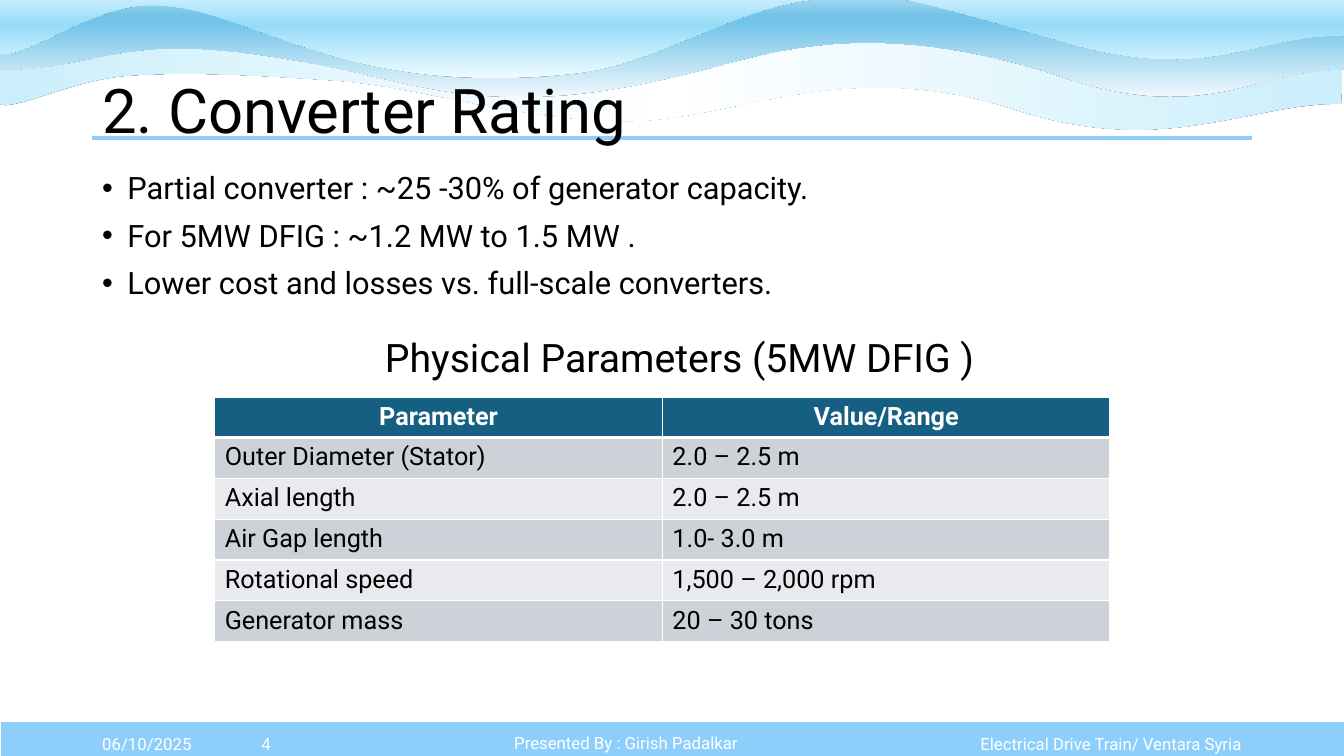
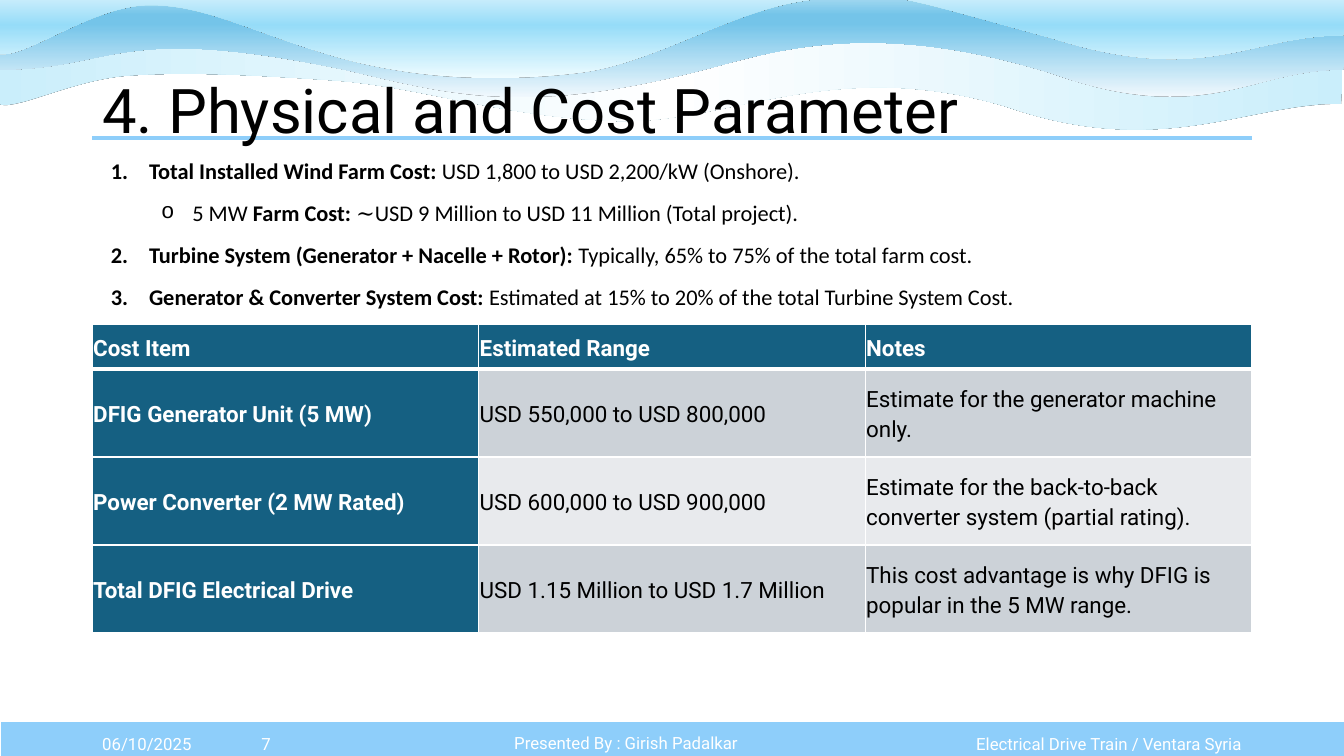
from pptx import Presentation
from pptx.dml.color import RGBColor
from pptx.enum.shapes import MSO_CONNECTOR, MSO_SHAPE
from pptx.enum.text import MSO_ANCHOR, PP_ALIGN
from pptx.oxml import parse_xml
from pptx.oxml.ns import nsdecls, qn
from pptx.util import Inches, Pt

LEFT, CENTER, RIGHT = PP_ALIGN.LEFT, PP_ALIGN.CENTER, PP_ALIGN.RIGHT
TOP, MIDDLE = MSO_ANCHOR.TOP, MSO_ANCHOR.MIDDLE
STRAIGHT, RECTANGLE = MSO_CONNECTOR.STRAIGHT, MSO_SHAPE.RECTANGLE
WHITE = RGBColor(0xFF, 0xFF, 0xFF)
BLACK = RGBColor(0x00, 0x00, 0x00)
SKY = RGBColor(0x8E, 0xCE, 0xFA)
TEAL = RGBColor(0x15, 0x60, 0x82)
BANDS = [RGBColor(0xCC, 0xD2, 0xD8), RGBColor(0xE8, 0xEA, 0xED)]
ROBOTO, CALIBRI, CAMBRIA = "Roboto", "Calibri", "Cambria"
SLIDE_W, SLIDE_H, BODY_W = 13.33, 7.5, 11.5
SIDE = (SLIDE_W - BODY_W) / 2

WAVES = [
    {"box": (-0.04, 0.3, 13.36, 0.98), "angle": 0,
     "stops": [(0, "CAEEFB"), (50, "FFFFFF"), (100, "CAEEFB")],
     "start": (13.3, 1.03),
     "curves": [(12.37, 1.02, 11.52, 1.59, 9.99, 1.06), (8.27, 0.54, 7.21, 1.24, 6.1, 1.2),
                (4.99, 1.16, 4.21, 0.87, 3.35, 0.8), (2.49, 0.74, 1.83, 0.71, 1.27, 0.75),
                (0.71, 0.79, 0.14, 1.11, -0.02, 1.03), (-0.02, 0.8, -0.04, 0.53, -0.04, 0.3)],
     "top": [(3.13, 0.31), (6.52, 0.34), (9.41, 0.32), (13.32, 0.34)],
     "end": (13.32, 0.55, 13.32, 0.8, 13.3, 1.03)},
    {"box": (0, -0.02, 13.33, 0.98), "angle": 90,
     "stops": [(0, "F0F8FD"), (74, "74C4E9"), (83, "74C4E9"), (100, "A2D8F0")],
     "start": (13.32, 0.69),
     "curves": [(12.39, 0.69, 11.96, 1.27, 10.44, 0.73), (8.71, 0.19, 7.73, 0.49, 7.06, 0.67),
                (5.28, 1.14, 4.59, 0.97, 3.46, 0.7), (1.13, 0.21, 1.15, 0.69, 0, 0.69),
                (0, 0.46, 0.01, 0.23, 0.01, -0.01)],
     "top": [(3.13, 0), (6.54, -0.02), (9.46, -0.01), (13.33, 0.03)],
     "end": (13.33, 0.25, 13.34, 0.46, 13.32, 0.69)},
    {"box": (-0.03, -0.28, 13.36, 1.06), "angle": 90,
     "stops": [(0, "EFFCFF"), (50, "96DCF8"), (100, "FFFFFF")],
     "start": (13.32, 0.35),
     "curves": [(12.39, 0.35, 11.96, 0.86, 10.44, 0.38), (8.72, -0.09, 8.91, -0.07, 8.13, -0.01),
                (7.35, 0.04, 6.53, 0.62, 5.76, 0.72), (4.98, 0.82, 4.24, 0.79, 3.47, 0.6),
                (2.58, 0.36, 2.07, 0.05, 1.5, 0.05), (0.92, 0.04, 0.22, 0.61, -0.03, 0.53),
                (-0.02, 0.32, 0.01, -0.06, 0.01, -0.27)],
     "top": [(3.13, -0.26), (6.54, -0.28), (9.46, -0.27), (13.33, -0.24)],
     "end": (13.33, -0.04, 13.34, 0.14, 13.32, 0.35)},
]

DATE, PRESENTER = "06/10/2025", "Presented By : Girish Padalkar"

RATING_POINTS = [
    "Partial converter : ~25 -30% of generator capacity.",
    "For 5MW DFIG : ~1.2 MW to 1.5 MW .",
    "Lower cost and losses vs. full-scale converters.",
]
PHYSICAL_ROWS = [
    ("Parameter", "Value/Range"),
    ("Outer Diameter (Stator)", "2.0 – 2.5 m"),
    ("Axial length", "2.0 – 2.5 m"),
    ("Air Gap length", "1.0- 3.0 m"),
    ("Rotational speed", "1,500 – 2,000 rpm"),
    ("Generator mass", "20 – 30 tons"),
]
COST_POINTS = [
    (0, [("Total Installed Wind Farm Cost:", True, CALIBRI),
         (" USD 1,800 to USD 2,200/kW (Onshore).", False, CALIBRI)]),
    (1, [("5 MW", False, CALIBRI), (" Farm Cost: ", True, CALIBRI), ("∼", False, CAMBRIA),
         ("USD 9 Million to USD 11 Million (Total project).", False, CALIBRI)]),
    (0, [("Turbine System (Generator + Nacelle + Rotor):", True, CALIBRI),
         (" Typically, 65% to 75% of the total farm cost.", False, CALIBRI)]),
    (0, [("Generator & Converter System Cost:", True, CALIBRI),
         (" Estimated at 15% to 20% of the total Turbine System Cost.", False, CALIBRI)]),
]
COST_ROWS = [
    ("Cost Item", "Estimated Range", "Notes"),
    ("DFIG Generator Unit (5 MW)", "USD 550,000 to USD 800,000",
     "Estimate for the generator machine only."),
    ("Power Converter (2 MW Rated)", "USD 600,000 to USD 900,000",
     "Estimate for the back-to-back converter system (partial rating)."),
    ("Total DFIG Electrical Drive", "USD 1.15 Million to USD 1.7 Million",
     "This cost advantage is why DFIG is popular in the 5 MW range."),
]
NUMBERED = (0.38, -0.38, '<a:buFont {} typeface="+mj-lt"/>', '<a:buAutoNum {} type="arabicPeriod"/>')
CIRCLE = (0.81, -0.31, '<a:buFont {} typeface="Courier New"/>', '<a:buChar {} char="o"/>')
DOT = (0.25, -0.25, '<a:buFont {} typeface="Arial"/>', '<a:buChar {} char="•"/>')


def a_xml(text):
    return parse_xml(text.replace("{}", nsdecls("a")))


def add_runs(p, runs, size, color):
    for text, bold, font in runs:
        r = p.add_run()
        r.text = text
        r.font.size = Pt(size)
        r.font.bold = bold
        r.font.name = font
        r.font.color.rgb = color


def add_box(slide, box, anchor):
    tf = slide.shapes.add_textbox(*map(Inches, box)).text_frame
    tf.word_wrap = True
    tf.vertical_anchor = anchor
    return tf


def add_label(slide, box, text, size, color, align=LEFT, spacing=1.0):
    p = add_box(slide, box, MIDDLE).paragraphs[0]
    p.alignment = align
    p.line_spacing = spacing
    add_runs(p, [(text, False, ROBOTO)], size, color)


def add_list(slide, box, items, size, spacing, before, after):
    tf = add_box(slide, box, TOP)
    for i, (level, bullet, runs) in enumerate(items):
        p = tf.add_paragraph() if i else tf.paragraphs[0]
        p.level = level
        p.line_spacing = spacing
        p.space_before = Pt(before if i else 0)
        p.space_after = Pt(after)
        margin, indent, *marks = bullet
        pPr = p._p.get_or_add_pPr()
        pPr.set("marL", str(Inches(margin)))
        pPr.set("indent", str(Inches(indent)))
        for mark in marks:
            pPr.append(a_xml(mark))
        add_runs(p, runs, size, BLACK)


def add_wave(slide, wave):
    left, top, width, height = wave["box"]

    def step(tag, *values):
        points = "".join(f'<a:pt x="{Inches(left + width - x)}" y="{Inches(top + height - y)}"/>'
                         for x, y in zip(values[::2], values[1::2]))
        return f"<a:{tag}>{points}</a:{tag}>"

    builder = slide.shapes.build_freeform(*map(Inches, wave["start"]), scale=1.0)
    builder.add_line_segments([(Inches(x), Inches(y)) for x, y in wave["top"]])
    sp = builder.convert_to_shape()
    sp.left, sp.top, sp.width, sp.height = map(Inches, wave["box"])
    sp.rotation = 180
    sp.line.fill.background()
    steps = [step("moveTo", *wave["start"])]
    steps += [step("cubicBezTo", *curve) for curve in wave["curves"]]
    steps += [step("lnTo", *point) for point in wave["top"]]
    steps.append(step("cubicBezTo", *wave["end"]))
    spPr = sp._element.spPr
    paths = spPr.find(qn("a:custGeom")).find(qn("a:pathLst"))
    paths.getparent().replace(paths, a_xml(
        f'<a:pathLst {{}}><a:path w="{Inches(width)}" h="{Inches(height)}">'
        f'{"".join(steps)}<a:close/></a:path></a:pathLst>'))
    stops = "".join(f'<a:gs pos="{pos * 1000}"><a:srgbClr val="{color}"/></a:gs>'
                    for pos, color in wave["stops"])
    spPr.find(qn("a:ln")).addprevious(a_xml(
        f'<a:gradFill {{}} rotWithShape="1"><a:gsLst>{stops}</a:gsLst>'
        f'<a:lin ang="{wave["angle"] * 60000}" scaled="0"/></a:gradFill>'))
    spPr.append(a_xml('<a:effectLst {}><a:outerShdw blurRad="0" dist="0" dir="0">'
                      '<a:srgbClr val="000000"/></a:outerShdw></a:effectLst>'))


def add_backdrop(slide):
    band = slide.shapes.add_shape(RECTANGLE, Inches(0), Inches(7.15), Inches(13.35), Inches(0.4))
    band.shadow.inherit = False
    band.fill.solid()
    band.fill.fore_color.rgb = SKY
    band.line.color.rgb = WHITE
    band.line.width = Pt(1.5)
    for wave in WAVES:
        add_wave(slide, wave)
    rule = slide.shapes.add_connector(STRAIGHT, Inches(SIDE), Inches(1.37),
                                      Inches(SIDE + BODY_W), Inches(1.37))
    rule.line.color.rgb = SKY
    rule.line.width = Pt(3)
    rule._element.spPr.append(a_xml("<a:effectLst {}/>"))
    layout = slide.slide_layout
    for ph in list(layout.placeholders):
        ph.element.getparent().remove(ph.element)
    for sp in list(slide.shapes):
        layout.shapes.element.append(sp.element)


def add_frame(slide, title, number, project):
    add_label(slide, (SIDE, 0.4, BODY_W, 1.45), title, 44, BLACK, spacing=0.9)
    footer = [(SIDE, 1.22, DATE, LEFT, 1.0), (2.13, 1.02, number, CENTER, 1.0),
              (3.15, 6.12, PRESENTER, CENTER, 0.9),
              (SIDE + BODY_W - 3.15, 3.15, project, RIGHT, 1.0)]
    for left, width, text, align, spacing in footer:
        add_label(slide, (left, 7.18, width, 0.4), text, 12, WHITE, align, spacing)


def set_borders(cell, row):
    tcPr = cell._tc.get_or_add_tcPr()
    widths = {"L": 1, "R": 1, "T": 3 if row == 1 else 1, "B": 1 if row else 3}
    for i, (side, width) in enumerate(widths.items()):
        tcPr.insert(i, a_xml(f'<a:ln{side} {{}} w="{Pt(width)}"><a:solidFill>'
                             f'<a:srgbClr val="{WHITE}"/></a:solidFill></a:ln{side}>'))


def add_grid(slide, box, rows, heights, size, header_align=LEFT, first_col=False,
             margin=None, anchor=TOP, spacing=1.0, after=0):
    tbl = slide.shapes.add_table(len(rows), len(rows[0]), *map(Inches, box)).table
    tbl.horz_banding = False
    tbl.first_col = first_col
    for col in tbl.columns:
        col.width = Inches(box[2] / len(rows[0]))
    for i, row in enumerate(rows):
        tbl.rows[i].height = Inches(heights[min(i, 1)])
        for j, text in enumerate(row):
            cell = tbl.cell(i, j)
            head = i == 0 or (first_col and j == 0)
            cell.fill.solid()
            cell.fill.fore_color.rgb = TEAL if head else BANDS[(i - 1) % 2]
            cell.vertical_anchor = anchor
            if margin is not None:
                cell.margin_left = cell.margin_right = Inches(margin)
                cell.margin_top = cell.margin_bottom = Inches(margin)
            set_borders(cell, i)
            p = cell.text_frame.paragraphs[0]
            p.alignment = LEFT if i else header_align
            p.line_spacing = spacing
            p.space_after = Pt(after)
            add_runs(p, [(text, head, ROBOTO)], size, WHITE if head else BLACK)


def main():
    prs = Presentation()
    prs.slide_width, prs.slide_height = Inches(SLIDE_W), Inches(SLIDE_H)
    blank = prs.slide_layouts[6]

    s = prs.slides.add_slide(blank)
    add_backdrop(s)
    add_frame(s, "2. Converter Rating", "4", "Electrical Drive Train/ Ventara Syria")
    points = [(0, DOT, [(text, False, ROBOTO)]) for text in RATING_POINTS]
    add_list(s, (SIDE, 1.67, BODY_W, 4.76), points, 22, 0.9, 10, 0)
    add_grid(s, (2.13, 3.94, 8.88, 2.43), PHYSICAL_ROWS, (0.37, 2.43 / 6), 18, CENTER)
    add_label(s, (3.72, 2.84, BODY_W, 1.45), "Physical Parameters (5MW DFIG )", 28, BLACK, spacing=0.9)

    s = prs.slides.add_slide(blank)
    add_frame(s, "4. Physical and Cost Parameter", "7", "Electrical Drive Train / Ventara Syria")
    points = [(level, CIRCLE if level else NUMBERED, runs) for level, runs in COST_POINTS]
    add_list(s, (1, 1.47, 11.79, 1.66), points, 16, 1.15, 0, 8)
    add_grid(s, (SIDE, 3.22, BODY_W, 3.06), COST_ROWS, (0.44, (3.06 - 0.44) / 3), 16,
             first_col=True, margin=0.01, anchor=MIDDLE, spacing=1.15, after=8)

    prs.save("out.pptx")


if __name__ == "__main__":
    main()
